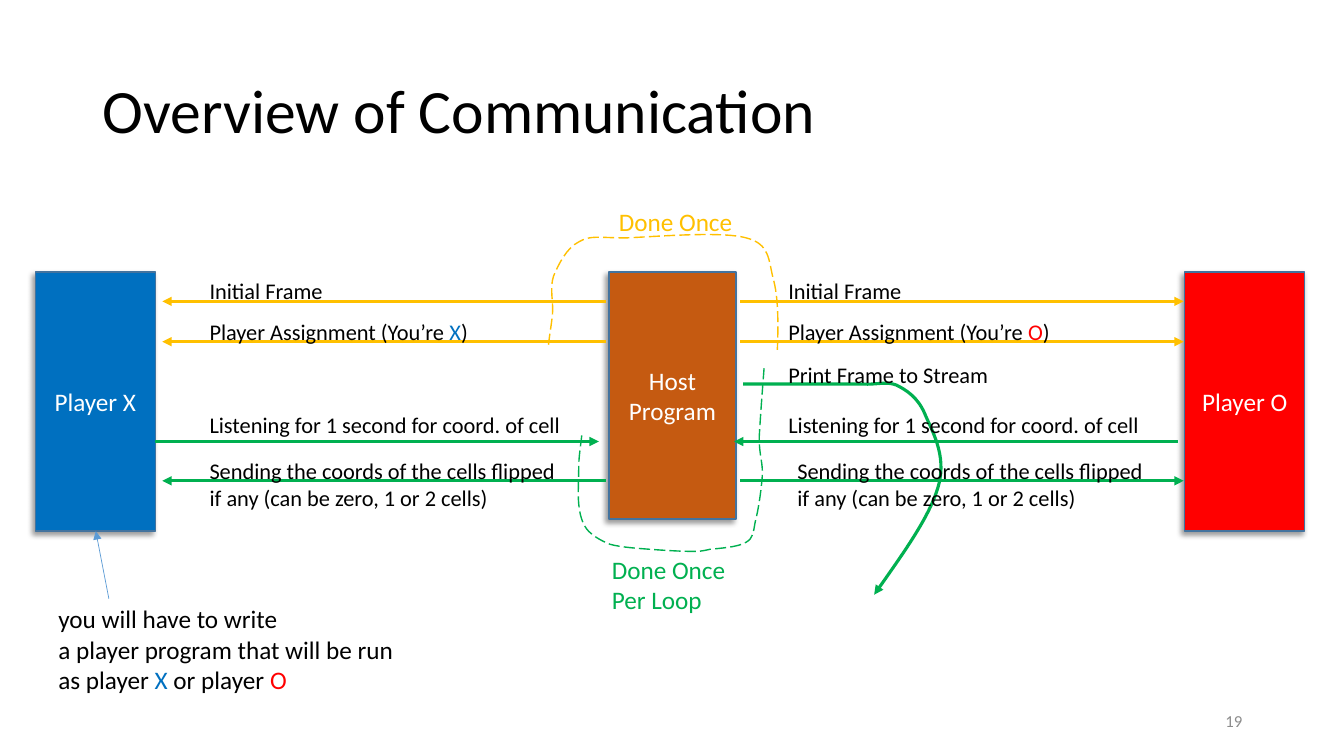
import pptx
import pptx.dml.color
import pptx.enum.dml
import pptx.enum.shapes
import pptx.enum.text
import pptx.oxml
import pptx.oxml.ns
import pptx.util
from lxml import etree

Inches, Pt = pptx.util.Inches, pptx.util.Pt
RGBColor = pptx.dml.color.RGBColor
Align, Anchor = pptx.enum.text.PP_ALIGN, pptx.enum.text.MSO_ANCHOR
AutoSize = pptx.enum.text.MSO_AUTO_SIZE
qn = pptx.oxml.ns.qn

BLACK = RGBColor(0x00, 0x00, 0x00)
WHITE = RGBColor(0xFF, 0xFF, 0xFF)
GRAY = RGBColor(0x8C, 0x8C, 0x8C)
BLUE = RGBColor(0x00, 0x70, 0xC0)
RED = RGBColor(0xFF, 0x00, 0x00)
BROWN = RGBColor(0xC5, 0x5A, 0x11)
YELLOW = RGBColor(0xFF, 0xC0, 0x00)
GREEN = RGBColor(0x00, 0xB0, 0x50)
OUTLINE = RGBColor(0x43, 0x73, 0x9E)
POINTER = RGBColor(0x5B, 0x9B, 0xD5)

SHADOW = (
    '<a:outerShdw xmlns:a="http://schemas.openxmlformats.org/drawingml/2006/main" '
    'blurRad="50800" dist="38100" dir="8100000" algn="tr" rotWithShape="0">'
    '<a:srgbClr val="000000"><a:alpha val="40000"/></a:srgbClr></a:outerShdw>'
)


def apply_format(target, **values):
    for name, value in values.items():
        setattr(target, name, value)


class DiagramSlide:
    """Holds the style and the current slide."""

    font_name = "Calibri"

    def __init__(self, presentation):
        self.slide = presentation.slides.add_slide(presentation.slide_layouts[5])
        self.shapes = self.slide.shapes

    def fill_text(self, frame, lines, size, color, align=Align.LEFT):
        """Each line is a list of strings or (string, color) pairs."""
        for index, line in enumerate(lines):
            paragraph = frame.paragraphs[0] if index == 0 else frame.add_paragraph()
            paragraph.alignment = align
            for part in line:
                text, run_color = part if isinstance(part, tuple) else (part, color)
                run = paragraph.add_run()
                run.text = text
                apply_format(run.font, name=self.font_name, size=Pt(size))
                run.font.color.rgb = run_color

    def title(self, text, left, top, width, height):
        title = self.shapes.title
        apply_format(title, left=Inches(left), top=Inches(top),
                     width=Inches(width), height=Inches(height))
        title.text_frame.vertical_anchor = Anchor.MIDDLE
        self.fill_text(title.text_frame, [[text]], 44, BLACK)
        title.text_frame.paragraphs[0].line_spacing = 0.9

    def label(self, lines, left, top, width, height, size=16, color=BLACK):
        box = self.shapes.add_textbox(Inches(left), Inches(top), Inches(width), Inches(height))
        apply_format(box.text_frame, word_wrap=False, auto_size=AutoSize.SHAPE_TO_FIT_TEXT)
        self.fill_text(box.text_frame, lines, size, color)

    def page_number(self, text, left, top, width, height):
        box = self.shapes.add_textbox(Inches(left), Inches(top), Inches(width), Inches(height))
        apply_format(box.text_frame, word_wrap=True, vertical_anchor=Anchor.MIDDLE)
        self.fill_text(box.text_frame, [[text]], 12, GRAY, Align.RIGHT)

    def program(self, lines, left, top, width, height, fill):
        box = self.shapes.add_shape(pptx.enum.shapes.MSO_SHAPE.RECTANGLE, Inches(left),
                                    Inches(top), Inches(width), Inches(height))
        box.fill.solid()
        box.fill.fore_color.rgb = fill
        self.stroke(box.line, OUTLINE, 1)
        box.shadow.inherit = False
        effects = box._element.spPr.find(qn("a:effectLst"))
        effects.append(pptx.oxml.parse_xml(SHADOW))
        box.text_frame.vertical_anchor = Anchor.MIDDLE
        self.fill_text(box.text_frame, lines, 18, WHITE, Align.CENTER)

    def stroke(self, line, color, width, dashed=False, arrow=False):
        line.color.rgb = color
        line.width = Pt(width)
        if dashed:
            line.dash_style = pptx.enum.dml.MSO_LINE.LONG_DASH
        if arrow:
            etree.SubElement(line._get_or_add_ln(), qn("a:tailEnd"), type="triangle")

    def arrow(self, start, end, color, width=2.25):
        connector = self.shapes.add_connector(pptx.enum.shapes.MSO_CONNECTOR.STRAIGHT,
                                              *map(Inches, start + end))
        self.stroke(connector.line, color, width, arrow=True)
        etree.SubElement(connector._element.spPr, qn("a:effectLst"))

    def curve(self, points, color, width, dashed=False, arrow=False):
        """Start point, then two control points and an end point per segment."""
        start, *others = [(Inches(x), Inches(y)) for x, y in points]
        builder = self.shapes.build_freeform(*start)
        builder.add_line_segments(others, close=False)
        shape = builder.convert_to_shape()
        # Join every three straight steps into one cubic curve
        outline = next(shape._element.iter(qn("a:path")))
        steps = outline.findall(qn("a:lnTo"))
        for first in range(0, len(steps), 3):
            cubic = etree.SubElement(outline, qn("a:cubicBezTo"))
            for step in steps[first:first + 3]:
                cubic.append(step[0])
                outline.remove(step)
        shape.fill.background()
        shape.shadow.inherit = False
        self.stroke(shape.line, color, width, dashed, arrow)


PRINT_CURVE = [
    (7.37, 3.81), (7.77, 3.81), (8.17, 3.81), (8.56, 3.81),
    (8.68, 3.82), (8.79, 3.78), (8.89, 3.82), (8.99, 3.87), (9.1, 3.94), (9.17, 4.1),
    (9.24, 4.27), (9.39, 4.51), (9.31, 4.81), (9.23, 5.11), (8.95, 5.5), (8.67, 5.9),
]
ONCE_CURVE = [
    (5.44, 3.42), (5.45, 3.32), (5.47, 3.22), (5.48, 3.11),
    (5.49, 3), (5.45, 2.86), (5.49, 2.74), (5.54, 2.62), (5.62, 2.46), (5.74, 2.4),
    (5.86, 2.33), (5.93, 2.36), (6.21, 2.36), (6.48, 2.35), (7.15, 2.29), (7.4, 2.36),
    (7.64, 2.42), (7.62, 2.58), (7.67, 2.77), (7.72, 2.95), (7.72, 3.21), (7.71, 3.47),
]
LOOP_CURVE = [
    (5.77, 4.32), (5.76, 4.42), (5.74, 4.53), (5.74, 4.64),
    (5.74, 4.76), (5.73, 4.9), (5.74, 5), (5.75, 5.1), (5.77, 5.18), (5.82, 5.25),
    (5.87, 5.31), (5.95, 5.36), (6.05, 5.4), (6.16, 5.43), (6.32, 5.44), (6.45, 5.45),
    (6.58, 5.46), (6.75, 5.47), (6.85, 5.47), (6.95, 5.47), (6.95, 5.47), (7.04, 5.45),
    (7.13, 5.44), (7.32, 5.43), (7.4, 5.38), (7.47, 5.34), (7.47, 5.29), (7.49, 5.18),
    (7.52, 5.07), (7.55, 4.87), (7.56, 4.73), (7.57, 4.59), (7.53, 4.53), (7.53, 4.34),
    (7.54, 4.16), (7.56, 3.89), (7.58, 3.63),
]

# Mark, color, box left, label left, last label left, sending and listening ends
PLAYERS = [
    ("X", BLUE, 0.35, 1.98, 1.98, (6.01, 1.61), (1.54, 5.94)),
    ("O", RED, 11.75, 7.72, 7.81, (7.34, 11.74), (11.68, 7.28)),
]


def main():
    presentation = pptx.Presentation()
    apply_format(presentation, slide_width=Inches(13.33), slide_height=Inches(7.5))
    diagram = DiagramSlide(presentation)

    # Title and page number
    diagram.title("Overview of Communication", 0.92, 0.4, 11.5, 1.45)
    diagram.page_number("19", 9.42, 6.95, 3, 0.4)

    # Host program and its printed frame
    diagram.program([["Host"], ["Program"]], 6.04, 2.7, 1.26, 2.45, BROWN)
    diagram.curve(PRINT_CURVE, GREEN, 2.25, arrow=True)
    diagram.label([["Print Frame to Stream"]], 7.72, 3.53, 2.21, 0.37)

    # Players and their messages
    for mark, color, box_left, label_left, last_left, sending, listening in PLAYERS:
        diagram.program([[f"Player {mark}"]], box_left, 2.7, 1.19, 2.57, color)
        for ends, y, arrow_color in [(sending, 2.99, YELLOW), (sending, 3.39, YELLOW),
                                     (listening, 4.38, GREEN), (sending, 4.77, GREEN)]:
            diagram.arrow((ends[0], y), (ends[1], y), arrow_color)
        diagram.label([["Initial Frame"]], label_left, 2.7, 1.34, 0.37)
        diagram.label([["Player Assignment (You’re ", (mark, color), ")"]],
                      label_left, 3.11, 2.8, 0.37)
        diagram.label([["Listening for 1 second for coord. of cell"]],
                      label_left, 4.03, 3.73, 0.37)
        diagram.label([["Sending the coords of the cells flipped"],
                       ["if any (can be zero, 1 or 2 cells)"]], last_left, 4.49, 3.67, 0.91)

    # Phases
    diagram.label([["Done Once"]], 6.04, 2, 1.34, 0.4, 18, YELLOW)
    diagram.curve(ONCE_CURVE, YELLOW, 1, dashed=True)
    diagram.label([["Done Once"], ["Per Loop"]], 5.97, 5.45, 1.4, 0.71, 18, GREEN)
    diagram.curve(LOOP_CURVE, GREEN, 1, dashed=True)

    # Remark on the player program
    diagram.label([["you will have to write"], ["a player program that will be run"],
                   ["as player ", ("X", BLUE), " or player ", ("O", RED)]],
                  0.48, 5.94, 3.58, 1.01, 18)
    diagram.arrow((1.08, 5.94), (0.95, 5.27), POINTER, 0.5)

    presentation.save("out.pptx")


if __name__ == "__main__":
    main()
